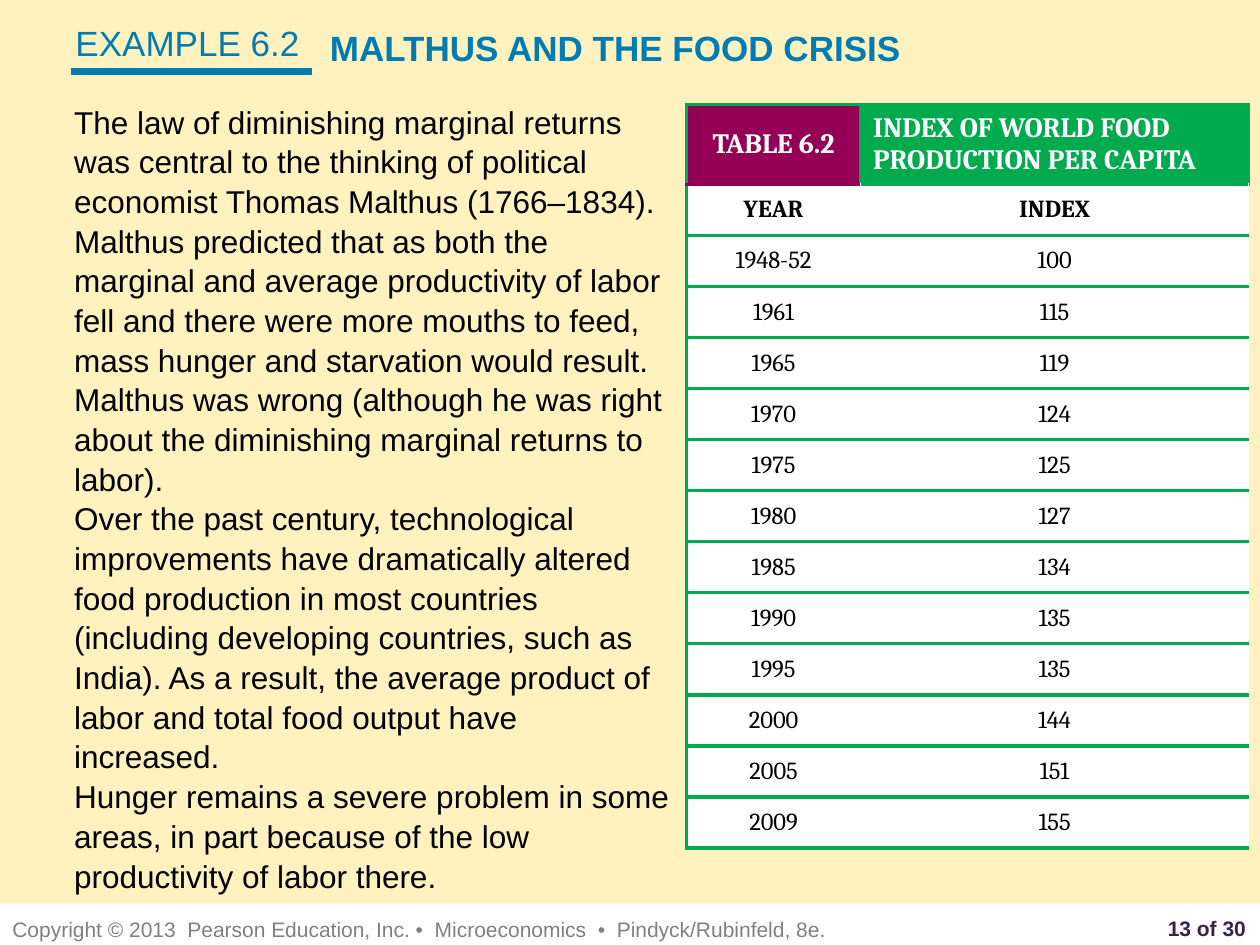
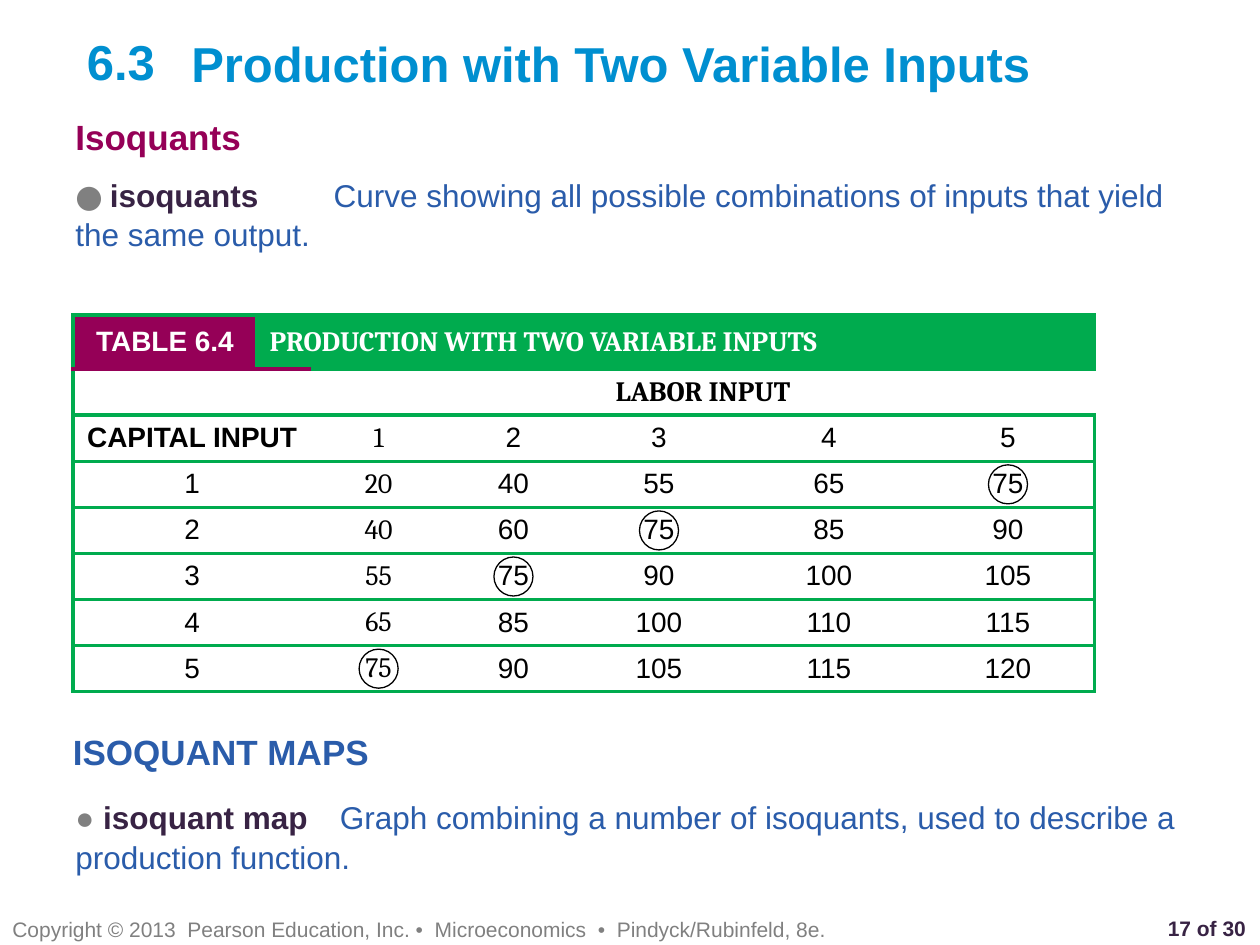
"""Build two economics lecture slides: a food production table and an isoquant table."""
from lxml.etree import SubElement
from pptx import Presentation
from pptx.dml.color import RGBColor
from pptx.enum.shapes import MSO_CONNECTOR, MSO_SHAPE
from pptx.enum.text import MSO_ANCHOR, PP_ALIGN
from pptx.oxml.ns import qn
from pptx.util import Inches, Pt

WHITE, BLACK, GREY, CREAM = "FFFFFF", "000000", "808080", "FFF2BF"
GREEN, PURPLE, PLUM = "00AB4E", "950057", "382344"
TEAL, SKY, BLUE = "007CB2", "008FD0", "2A5CAA"
SANS, SERIF = "Arial", "Cambria"
COPYRIGHT = "Copyright © 2013  Pearson Education, Inc. •  Microeconomics  •  Pindyck/Rubinfeld, 8e."
PAGE_COUNT = 30

MALTHUS = [
    "The law of diminishing marginal returns was central to the thinking of political economist "
    "Thomas Malthus (1766–1834).",
    "Malthus predicted that as both the marginal and average productivity of labor fell and there "
    "were more mouths to feed, mass hunger and starvation would result.",
    "Malthus was wrong (although he was right about the diminishing marginal returns to labor).",
    "Over the past century, technological improvements have dramatically altered food production "
    "in most countries (including developing countries, such as India). As a result, the average "
    "product of labor and total food output have increased.",
    "Hunger remains a severe problem in some areas, in part because of the low productivity of "
    "labor there.",
]
FOOD_TITLE = ("TABLE 6.2", "INDEX OF WORLD FOOD PRODUCTION PER CAPITA")
FOOD_ROWS = [
    ("YEAR", "INDEX"), ("1948-52", "100"), ("1961", "115"), ("1965", "119"), ("1970", "124"),
    ("1975", "125"), ("1980", "127"), ("1985", "134"), ("1990", "135"), ("1995", "135"),
    ("2000", "144"), ("2005", "151"), ("2009", "155"),
]
FOOD_BOX, FOOD_COLUMNS, FOOD_HEADER = (5.45, 0.83, 4.46, 5.9), (1.38, 3.08), 0.63

INPUT_TITLE = ("TABLE 6.4", "PRODUCTION WITH TWO VARIABLE INPUTS")
INPUT_ROWS = [
    ("CAPITAL INPUT", "1", "2", "3", "4", "5"),
    ("1", "20", "40", "55", "65", "75"),
    ("2", "40", "60", "75", "85", "90"),
    ("3", "55", "75", "90", "100", "105"),
    ("4", "65", "85", "100", "110", "115"),
    ("5", "75", "90", "105", "115", "120"),
]
INPUT_BOX, INPUT_HEADER = (0.58, 2.5, 8.11, 2.99), 0.43
INPUT_COLUMNS = (1.46, 0.43, 1.07, 1.07, 1.24, 1.46, 1.38)
CIRCLED, CIRCLE_SIZE = "75", 0.31

ISOQUANTS = [("● ", GREY, True, SERIF), ("isoquants\t", PLUM, True, SANS),
             ("Curve showing all possible combinations of inputs that yield the same output.",
              BLUE, False, SANS)]
ISOQUANT_MAP = [("● ", GREY, True, SANS), ("isoquant map\t", PLUM, True, SANS),
                ("Graph combining a number of isoquants, used to describe a production function.",
                 BLUE, False, SANS)]


def color(value):
    return RGBColor.from_string(value)


def set_font(font, size, tint, bold=False, name=SANS):
    font.size, font.bold, font.name = Pt(size), bold, name
    font.color.rgb = color(tint)


def add_box(page, place, anchor):
    box = page.shapes.add_textbox(*map(Inches, place))
    box.text_frame.word_wrap = True
    box.text_frame.vertical_anchor = anchor
    return box.text_frame


def add_text(page, place, lines, size, tint, bold=False, anchor=MSO_ANCHOR.TOP,
             align=PP_ALIGN.LEFT, spacing=None):
    frame = add_box(page, place, anchor)
    frame.text = "\n".join(lines)
    for para in frame.paragraphs:
        para.alignment, para.line_spacing = align, spacing
        set_font(para.font, size, tint, bold)


def add_definition(page, place, spans, tab):
    para = add_box(page, place, MSO_ANCHOR.TOP).paragraphs[0]
    para.line_spacing = 1.05
    stops = SubElement(para._p.get_or_add_pPr(), qn("a:tabLst"))
    SubElement(stops, qn("a:tab"), pos=str(Inches(tab)), algn="l")
    for text, tint, bold, name in spans:
        span = para.add_run()
        span.text = text
        set_font(span.font, 18, tint, bold, name)


def add_shape(page, kind, place, fill=None, line=None):
    shape = page.shapes.add_shape(kind, *map(Inches, place))
    shape.shadow.inherit = False
    if fill:
        shape.fill.solid()
        shape.fill.fore_color.rgb = color(fill)
    else:
        shape.fill.background()
    if line:
        shape.line.color.rgb = color(line)
        shape.line.width = Pt(0.75)
    else:
        shape.line.fill.background()


def add_rule(page, start, end, tint, width):
    rule = page.shapes.add_connector(MSO_CONNECTOR.STRAIGHT, *map(Inches, start + end))
    rule.line.color.rgb = color(tint)
    rule.line.width = Pt(width)
    SubElement(rule._element.spPr, qn("a:effectLst"))


def add_footer(page, number):
    add_text(page, (9.17, 7.25, 0.87, 0.24), [f"{number} of {PAGE_COUNT}"], 12, PLUM, True,
             MSO_ANCHOR.MIDDLE)
    add_text(page, (0, 7.25, 9, 0.25), [COPYRIGHT], 12, GREY, anchor=MSO_ANCHOR.MIDDLE)


def add_grid(page, place, widths, header, row_count):
    grid = page.shapes.add_table(row_count, len(widths), *map(Inches, place)).table
    body = (place[3] - header) / (row_count - 1)
    for column, width in zip(grid.columns, widths):
        column.width = Inches(width)
    for index, row in enumerate(grid.rows):
        row.height = Inches(body if index else header)
    return grid, body


def style_cell(cell, fill, **borders):
    cell.fill.solid()
    cell.fill.fore_color.rgb = color(fill)
    properties = cell._tc.get_or_add_tcPr()
    for position, side in enumerate("LRTB"):
        tint = borders.get(side)
        width = Pt(1 if tint == WHITE else 2.25)
        line = properties.makeelement(qn(f"a:ln{side}"), {"w": str(width)})
        if tint:
            SubElement(SubElement(line, qn("a:solidFill")), qn("a:srgbClr"), val=tint)
        else:
            SubElement(line, qn("a:noFill"))
        properties.insert(position, line)


def fill_cell(cell, text, size, tint=BLACK, bold=False, name=SERIF, align=PP_ALIGN.CENTER,
              anchor=MSO_ANCHOR.MIDDLE):
    cell.text = text
    cell.vertical_anchor = anchor
    para = cell.text_frame.paragraphs[0]
    para.alignment = align
    set_font(para.font, size, tint, bold, name)


def fill_header(grid, titles, label_font):
    label, title = titles
    fill_cell(grid.cell(0, 0), label, 16, WHITE, True, label_font)
    fill_cell(grid.cell(0, 1), title, 16, WHITE, True, align=PP_ALIGN.LEFT)
    style_cell(grid.cell(0, 0), PURPLE, L=GREEN, R=GREEN, T=GREEN, B=PURPLE)
    for column in range(1, len(grid.columns)):
        style_cell(grid.cell(0, column), GREEN, L=GREEN, R=GREEN, T=GREEN, B=GREEN)


def add_food_table(page):
    grid, _ = add_grid(page, FOOD_BOX, FOOD_COLUMNS, FOOD_HEADER, len(FOOD_ROWS) + 1)
    fill_header(grid, FOOD_TITLE, SERIF)
    for row, values in enumerate(FOOD_ROWS, 1):
        for column, value in enumerate(values):
            cell = grid.cell(row, column)
            fill_cell(cell, value, 14, bold=row == 1)
            style_cell(cell, WHITE, L=WHITE if column else GREEN, R=WHITE, B=GREEN,
                       T=PURPLE if (row, column) == (1, 0) else GREEN)


def add_input_table(page):
    row_count, last = len(INPUT_ROWS) + 2, len(INPUT_COLUMNS) - 1
    grid, body = add_grid(page, INPUT_BOX, INPUT_COLUMNS, INPUT_HEADER, row_count)
    fill_header(grid, INPUT_TITLE, SANS)
    for row in range(1, row_count):
        for column in range(last + 1):
            cell = grid.cell(row, column)
            cell.margin_top = cell.margin_bottom = 0
            style_cell(cell, WHITE, L=None if column else GREEN, B=GREEN,
                       R=GREEN if column == last else None,
                       T=PURPLE if row == 1 and column < 2 else GREEN)
        grid.cell(row, 0).merge(grid.cell(row, 1))
    grid.cell(0, 1).merge(grid.cell(0, last))
    grid.cell(1, 2).merge(grid.cell(1, last))
    fill_cell(grid.cell(1, 2), "LABOR INPUT", 16, bold=True)

    left, top = INPUT_BOX[:2]
    for row, values in enumerate(INPUT_ROWS, 2):
        for position, value in enumerate(values):
            column = position + 1 if position else 0
            fill_cell(grid.cell(row, column), value, 16, bold=(row, column) == (2, 0),
                      name=SERIF if column == 2 else SANS)
            if value == CIRCLED:
                center_x = left + sum(INPUT_COLUMNS[:column]) + INPUT_COLUMNS[column] / 2
                center_y = top + INPUT_HEADER + (row - 0.5) * body
                add_shape(page, MSO_SHAPE.OVAL,
                          (center_x - CIRCLE_SIZE / 2, center_y - CIRCLE_SIZE / 2,
                           CIRCLE_SIZE, CIRCLE_SIZE), line=BLACK)


def build_food_page(page):
    add_footer(page, 13)
    add_shape(page, MSO_SHAPE.RECTANGLE, (0, 0, 10, 7.17), fill=CREAM)
    add_text(page, (0.49, 0.75, 4.93, 6.16), MALTHUS, 18, BLACK, spacing=1.05)
    add_text(page, (0.5, 0.07, 2.02, 0.53), ["EXAMPLE 6.2"], 20, TEAL, anchor=MSO_ANCHOR.MIDDLE)
    add_rule(page, (2.48, 0.57), (0.56, 0.57), TEAL, 4)
    add_text(page, (2.52, 0, 7.15, 0.75), ["MALTHUS AND THE FOOD CRISIS"], 20, TEAL, True,
             MSO_ANCHOR.MIDDLE)
    add_food_table(page)


def build_isoquant_page(page):
    add_footer(page, 17)
    add_text(page, (0.5, 0.87, 3.92, 0.46), ["Isoquants"], 20, PURPLE, True)
    add_text(page, (1.42, 0.22, 7.15, 0.53), ["Production with Two Variable Inputs"], 28, SKY, True)
    add_text(page, (0.5, 0.22, 0.92, 0.53), ["6.3"], 28, SKY, True, MSO_ANCHOR.MIDDLE,
             PP_ALIGN.CENTER)
    add_definition(page, (0.5, 1.33, 8.92, 0.71), ISOQUANTS, 2.05)
    add_input_table(page)
    add_definition(page, (0.5, 6.27, 9, 0.73), ISOQUANT_MAP, 2.1)
    add_text(page, (0.48, 5.75, 8.07, 0.42), ["ISOQUANT MAPS"], 20, BLUE, True)


def main():
    deck = Presentation()
    deck.slide_width, deck.slide_height = Inches(10), Inches(7.5)
    for build in (build_food_page, build_isoquant_page):
        build(deck.slides.add_slide(deck.slide_layouts[6]))
    deck.save("out.pptx")


if __name__ == "__main__":
    main()
